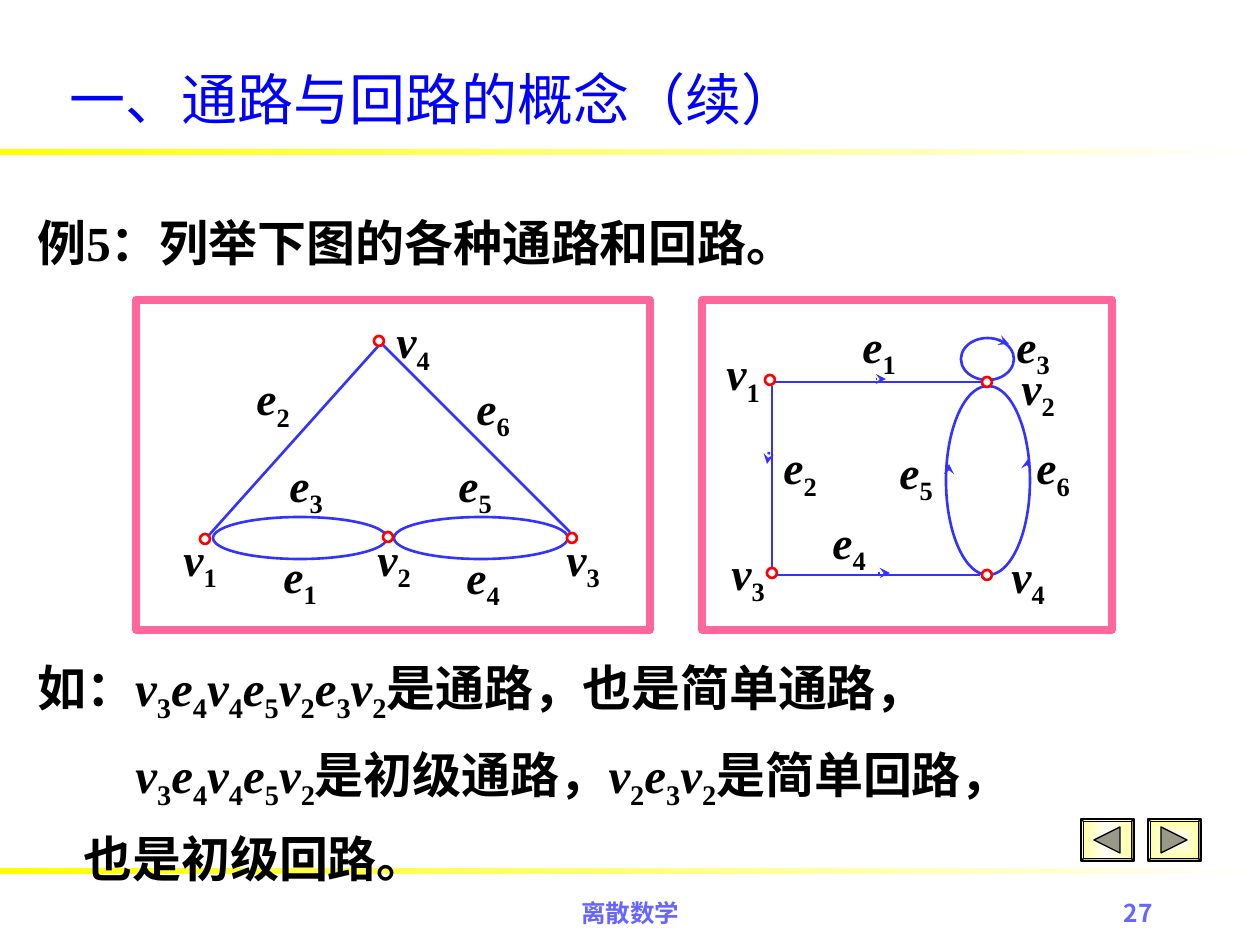
"""Build the slide on walks and circuits in graphs."""
import itertools
import pptx
import pptx.util
import pptx.dml.color
import pptx.enum.shapes
import pptx.enum.text
import pptx.oxml
import pptx.oxml.ns

KIND = pptx.enum.shapes.MSO_SHAPE
ALIGN = pptx.enum.text.PP_ALIGN
PX = 914400 // 126


class Theme:
    blue, ink, foot = "0000FF", "000000", "6666FF"
    edge, node, frame = "3333FF", "FF0000", "FF6699"
    white, bar, cream, grey = "FFFFFF", "FFFF00", "FFFF99", "99998A"
    serif, sans = "Times New Roman", "Noto Sans CJK SC"
    head, body, label, small = 32, 28, 26, 14
    thick, thin, hair = 4.5, 1.5, 0.75


TITLE = "一、通路与回路的概念（续）"
TASK = ["例5：列举下图的各种通路和回路。"]
ANSWER = [
    "如：v3e4v4e5v2e3v2|是通路|，也是|简单通路|，",
    "v3e4v4e5v2|是初级通路|，v2e3v2|是简单回路，",
    "|也是初级回路。",
]
INDENT = [0, 98, 46]
GRAPHS = [
    {
        "frame": (136, 300, 514, 330),
        "lines": [(381, 343, 202, 543), (570, 532, 381, 343)],
        "loops": [(213, 517, 174, 42), (394, 517, 174, 42)],
        "arrows": [],
        "nodes": [(567, 533), (374, 336), (200, 534), (383, 532)],
        "labels": {
            "v1": (171, 525), "v2": (365, 525), "v3": (554, 525),
            "v4": (384, 307), "e1": (271, 542), "e2": (244, 364),
            "e3": (277, 451), "e4": (454, 543), "e5": (446, 451),
            "e6": (464, 374),
        },
    },
    {
        "frame": (702, 300, 410, 330),
        "lines": [(772, 386, 772, 575), (980, 575, 770, 575),
                  (982, 382, 771, 382)],
        "loops": [(961, 338, 53, 42), (946, 386, 84, 189)],
        "arrows": [(876, 379, 886, 379), (769, 452, 767, 464),
                   (999, 340, 1009, 344), (878, 573, 890, 573),
                   (1027, 465, 1028, 459), (949, 471, 949, 464)],
        "nodes": [(767, 568), (765, 375), (982, 377), (982, 570)],
        "labels": {
            "v1": (714, 339), "v2": (1009, 354), "v3": (719, 539),
            "v4": (999, 542), "e1": (850, 312), "e2": (771, 433),
            "e3": (1004, 312), "e4": (820, 508), "e5": (887, 438),
            "e6": (1024, 433),
        },
    },
]
BARS = [868, 149]
BUTTONS = [
    (1148, 90, [(0, Theme.white), (100, Theme.cream)], None),
    (1081, 270, [(0, Theme.cream), (50, Theme.white), (100, Theme.cream)], 180),
]


def rgb(code):
    return pptx.dml.color.RGBColor.from_string(code)


def scale(nums):
    return [n * PX for n in nums]


def shape(shapes, kind, place, fill=None, line=None, width=Theme.thin):
    item = shapes.add_shape(kind, *scale(place))
    item.shadow.inherit = False
    if fill:
        item.fill.solid()
        item.fill.fore_color.rgb = rgb(fill)
    else:
        item.fill.background()
    if line:
        item.line.color.rgb = rgb(line)
        item.line.width = pptx.util.Pt(width)
    else:
        item.line.fill.background()
    return item


def shade(item, stops, angle):
    item.fill.gradient()
    old = item._element.spPr.find(pptx.oxml.ns.qn("a:gradFill"))
    marks = "".join(
        f'<a:gs pos="{pos * 1000}"><a:srgbClr val="{code}"/></a:gs>'
        for pos, code in stops)
    flow = (
        '<a:path path="rect"><a:fillToRect l="50000" t="50000" '
        'r="50000" b="50000"/></a:path>'
        if angle is None else f'<a:lin ang="{angle * 60000}" scaled="0"/>')
    new = pptx.oxml.parse_xml(
        f'<a:gradFill {pptx.oxml.ns.nsdecls("a")}>'
        f'<a:gsLst>{marks}</a:gsLst>{flow}</a:gradFill>')
    old.getparent().replace(old, new)


def line(shapes, ends, arrow=False):
    item = shapes.add_connector(
        pptx.enum.shapes.MSO_CONNECTOR.STRAIGHT, *scale(ends))
    item.line.color.rgb = rgb(Theme.edge)
    item.line.width = pptx.util.Pt(Theme.thin)
    if arrow:
        tip = pptx.oxml.parse_xml(
            f'<a:tailEnd {pptx.oxml.ns.nsdecls("a")} type="stealth"/>')
        item.line._get_or_add_ln().append(tip)
    item._element.spPr.append(
        pptx.oxml.parse_xml(f'<a:effectLst {pptx.oxml.ns.nsdecls("a")}/>'))


def split(part):
    """Cut a part into runs marked as plain, variable or subscript."""
    marks = []
    for last, char in zip(" " + part, part):
        mark = "var" if char in "ve" else "plain"
        if char.isdigit() and last in "ve":
            mark = "sub"
        marks.append((mark, char))
    for mark, group in itertools.groupby(marks, key=lambda pair: pair[0]):
        yield mark, "".join(char for _, char in group)


def write(frame, rows, size=Theme.body, color=Theme.ink, bold=True,
          align=ALIGN.LEFT, space=None, font=Theme.serif, indent=None):
    frame.word_wrap = True
    for i, row in enumerate(rows):
        para = frame.add_paragraph() if i else frame.paragraphs[0]
        para.alignment = align
        if space:
            para.line_spacing = space
        if indent and indent[i]:
            para._p.get_or_add_pPr().set("marL", str(indent[i] * PX))
        for j, part in enumerate(row.split("|")):
            for mark, chars in split(part):
                run = para.add_run()
                run.text = chars
                run.font.size = pptx.util.Pt(size)
                run.font.bold = bold
                run.font.italic = mark == "var"
                run.font.color.rgb = rgb(color)
                run.font.name = Theme.sans if j % 2 else font
                props = run._r.get_or_add_rPr()
                props.append(pptx.oxml.parse_xml(
                    f'<a:ea {pptx.oxml.ns.nsdecls("a")} '
                    f'typeface="{Theme.sans}"/>'))
                if mark == "sub":
                    props.set("baseline", "-25000")


def box(shapes, place, rows, **style):
    write(shapes.add_textbox(*scale(place)).text_frame, rows, **style)


def draw(shapes, graph):
    shape(shapes, KIND.RECTANGLE, graph["frame"], Theme.white, Theme.frame,
          Theme.thick)
    for ends in graph["lines"]:
        line(shapes, ends)
    for place in graph["loops"]:
        shape(shapes, KIND.OVAL, place, line=Theme.edge)
    for ends in graph["arrows"]:
        line(shapes, ends, arrow=True)
    for spot in graph["nodes"]:
        shape(shapes, KIND.OVAL, (*spot, 10, 10), Theme.white, Theme.node)
    for name, spot in graph["labels"].items():
        box(shapes, (*spot, 66, 76), [name], size=Theme.label)


def main():
    deck = pptx.Presentation()
    deck.slide_width, deck.slide_height = scale((1260, 945))
    slide = deck.slides.add_slide(deck.slide_layouts[5])
    shapes = slide.shapes
    for top in BARS:
        bar = shape(shapes, KIND.RECTANGLE, (0, top, 1260, 6))
        shade(bar, [(0, Theme.white), (100, Theme.bar)], 180)
    title = shapes.title
    title.left, title.top, title.width, title.height = scale((57, 58, 1071, 81))
    title.text_frame.auto_size = pptx.enum.text.MSO_AUTO_SIZE.NONE
    title.text_frame.vertical_anchor = pptx.enum.text.MSO_ANCHOR.MIDDLE
    write(title.text_frame, [TITLE], size=Theme.head, color=Theme.blue,
          bold=False)
    for left, turn, stops, angle in BUTTONS:
        key = shape(shapes, KIND.BEVEL, (left, 819, 53, 42),
                    line=Theme.ink, width=Theme.hair)
        key.adjustments[0] = 0.06
        shade(key, stops, angle)
        mark = shape(shapes, KIND.ISOSCELES_TRIANGLE,
                     (left + 13, 827, 26, 26), Theme.grey, Theme.ink,
                     Theme.hair)
        mark.rotation = turn
    for graph in GRAPHS:
        draw(shapes.add_group_shape().shapes, graph)
    box(shapes, (25, 189, 1235, 89), TASK, space=1.3)
    box(shapes, (25, 631, 1235, 263), ANSWER, space=1.3, indent=INDENT)
    box(shapes, (431, 892, 399, 53), ["离散数学"], size=Theme.small,
        color=Theme.foot, align=ALIGN.CENTER)
    box(shapes, (903, 892, 262, 53), ["27"], size=Theme.small,
        color=Theme.foot, align=ALIGN.RIGHT, font=Theme.sans)
    deck.save("out.pptx")


if __name__ == "__main__":
    main()
